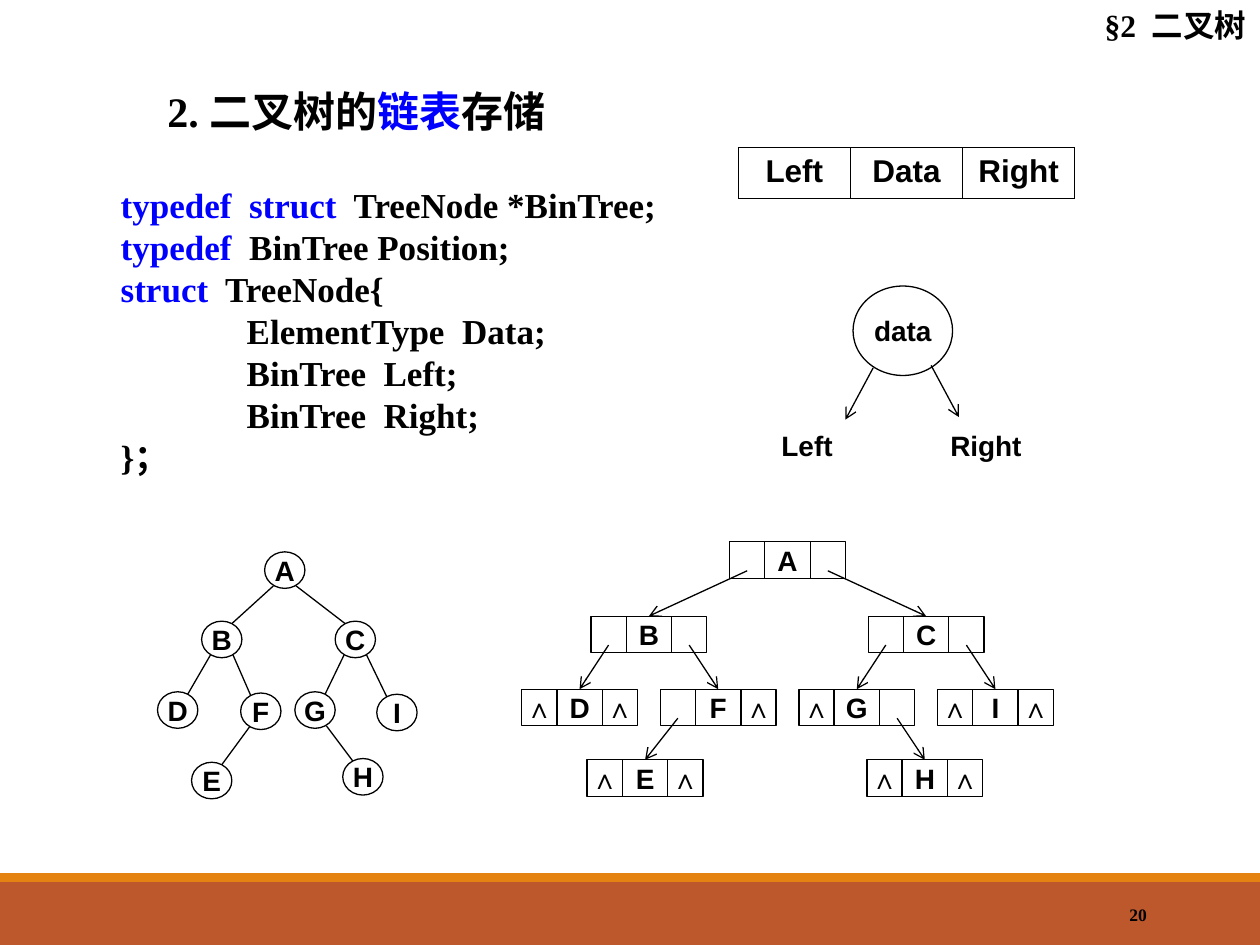
import lxml.etree
import pptx
import pptx.dml.color
import pptx.enum.shapes
import pptx.enum.text
import pptx.oxml.ns
import pptx.util

Inches = pptx.util.Inches
Pt = pptx.util.Pt
Align = pptx.enum.text.PP_ALIGN
Anchor = pptx.enum.text.MSO_ANCHOR
Preset = pptx.enum.shapes.MSO_SHAPE
qn = pptx.oxml.ns.qn
RGB = pptx.dml.color.RGBColor.from_string

COLORS = {"black": "000000", "white": "FFFFFF", "blue": "0000FF",
          "orange": "E48312", "rust": "BD582C"}


def write(frame, lines, size=16, font="Arial", align=Align.CENTER, anchor=Anchor.TOP,
          insets=(0, 0), wrap=True, spacing=None, tabs=()):
    frame.word_wrap = wrap
    frame.vertical_anchor = anchor
    frame.margin_left = frame.margin_right = Inches(insets[0])
    frame.margin_top = frame.margin_bottom = Inches(insets[1])
    for index, spans in enumerate(lines):
        para = frame.paragraphs[0] if index == 0 else frame.add_paragraph()
        para.alignment = align
        para.line_spacing = spacing
        if tabs:
            stops = lxml.etree.SubElement(para._p.get_or_add_pPr(), qn("a:tabLst"))
            for position, kind in tabs:
                lxml.etree.SubElement(stops, qn("a:tab"), pos=str(Inches(position)), algn=kind)
        for text, color in spans:
            span = para.add_run()
            span.text = text
            span.font.size = Pt(size)
            span.font.name = font
            span.font.bold = True
            span.font.color.rgb = RGB(COLORS[color])


def draw_line(x1, y1, x2, y2, arrow=False, target=None):
    line = page.shapes.add_connector(pptx.enum.shapes.MSO_CONNECTOR.STRAIGHT,
                                     Inches(x1), Inches(y1), Inches(x2), Inches(y2))
    line.line.color.rgb = RGB(COLORS["black"])
    line.line.width = Pt(0.75)
    if arrow:
        lxml.etree.SubElement(line.line._get_or_add_ln(), qn("a:tailEnd"), type="arrow")
    lxml.etree.SubElement(line._element.spPr, qn("a:effectLst"))
    if target is not None:
        line.end_connect(target, 0)


deck = pptx.Presentation()
deck.slide_width, deck.slide_height = Inches(10), Inches(7.5)
page = deck.slides.add_slide(deck.slide_layouts[6])

for top, height, color in [(7, 0.5, "rust"), (6.93, 0.07, "orange")]:
    band = page.shapes.add_shape(Preset.RECTANGLE, 0, Inches(top), Inches(10), Inches(height))
    band.shadow.inherit = False
    band.fill.solid()
    band.fill.fore_color.rgb = RGB(COLORS[color])
    band.line.fill.background()

code = [
    [("typedef  struct", "blue"), ("  TreeNode *BinTree;", "black")],
    [("typedef", "blue"), ("  BinTree Position;", "black")],
    [("struct", "blue"), ("  TreeNode{", "black")],
    [("\tElementType  Data;", "black")],
    [("\tBinTree  Left;", "black")],
    [("\tBinTree  Right;", "black")],
    [("}；", "black")],
]
heading = [[("2. 二叉树的", "black"), ("链表", "blue"), ("存储", "black")]]
serif = {"font": "Times New Roman", "insets": (0.1, 0.05)}
texts = [
    (8.12, 7.06, 1.08, 0.4, [[("20", "black")]],
     {**serif, "size": 10, "align": Align.RIGHT, "anchor": Anchor.MIDDLE}),
    (1.23, 0.63, 3.28, 0.5, heading, {**serif, "size": 24, "align": Align.LEFT, "wrap": False}),
    (0.86, 1.41, 5, 2.44, code,
     {**serif, "size": 20, "align": Align.LEFT, "spacing": Pt(24), "tabs": [(1, "l")]}),
    (7.58, 0, 2.41, 0.4, [[("§2  二叉树", "black")]],
     {**serif, "size": 18, "align": Align.RIGHT}),
    (5.86, 3.4, 1.09, 0.34, [[("Left", "black")]], {}),
    (7.17, 3.4, 1.31, 0.34, [[("Right", "black")]], {}),
]
for left, top, width, height, lines, style in texts:
    box = page.shapes.add_textbox(Inches(left), Inches(top), Inches(width), Inches(height))
    write(box.text_frame, lines, **style)

fields = ["Left", "Data", "Right"]
holder = page.shapes.add_table(1, 3, Inches(5.86), Inches(1.17), Inches(2.66), Inches(0.39))
table = holder.table
table.first_row = table.horz_banding = False
table.rows[0].height = Inches(0.39)
for column, field in enumerate(fields):
    table.columns[column].width = Inches(0.89)
    cell = table.cell(0, column)
    write(cell.text_frame, [[(field, "black")]], size=18)
    cell.margin_left = cell.margin_right = Inches(0.07)
    cell.margin_top = cell.margin_bottom = Inches(0.05)
    properties = cell._tc.get_or_add_tcPr()
    for side in ["lnL", "lnR", "lnT", "lnB"]:
        border = lxml.etree.SubElement(properties, qn("a:" + side), w=str(Pt(0.45)))
        fill = lxml.etree.SubElement(border, qn("a:solidFill"))
        lxml.etree.SubElement(fill, qn("a:srgbClr"), val=COLORS["black"])
    cell.fill.solid()
    cell.fill.fore_color.rgb = RGB(COLORS["white"])

NODE_W, NODE_H = 0.32, 0.29
RECORD_W, RECORD_H = 0.92, 0.29
LEFT_SLOT, RIGHT_SLOT = 0.14, 0.78

nodes = {"A": (2.1, 4.38), "B": (1.6, 4.93), "C": (2.66, 4.93), "D": (1.25, 5.49),
         "F": (1.91, 5.5), "G": (2.34, 5.49), "I": (2.99, 5.51), "E": (1.52, 6.05),
         "H": (2.72, 6.02)}
records = {"A": (5.79, 4.3), "B": (4.69, 4.89), "C": (6.89, 4.89), "D": (4.14, 5.47),
           "F": (5.24, 5.47), "G": (6.34, 5.47), "I": (7.44, 5.47), "E": (4.66, 6.03),
           "H": (6.88, 6.03)}
children = {"A": ("B", "C"), "B": ("D", "F"), "C": ("G", "I"), "F": ("E", None),
            "G": (None, "H")}

circles = [(left, top, NODE_W, NODE_H, letter) for letter, (left, top) in nodes.items()]
circles.append((6.77, 2.27, 0.79, 0.71, "data"))
node_style = {"anchor": Anchor.MIDDLE, "wrap": False}
outlines = [(Preset.OVAL, *circle, node_style) for circle in circles]

record_style = {"anchor": Anchor.MIDDLE, "align": Align.LEFT, "insets": (0.02, 0.01),
                "tabs": [(0.12, "ctr"), (0.44, "ctr"), (0.76, "ctr")]}
for letter, (left, top) in records.items():
    marks = ["" if child else "∧" for child in children.get(letter, (None, None))]
    label = f"\t{marks[0]}\t{letter}\t{marks[1]}".rstrip()
    outlines.append((Preset.RECTANGLE, left, top, RECORD_W, RECORD_H, label, record_style))

drawn_records = {}
for preset, left, top, width, height, label, style in outlines:
    shape = page.shapes.add_shape(preset, Inches(left), Inches(top), Inches(width), Inches(height))
    shape.shadow.inherit = False
    shape.fill.solid()
    shape.fill.fore_color.rgb = RGB(COLORS["white"])
    shape.line.color.rgb = RGB(COLORS["black"])
    shape.line.width = Pt(0.75)
    write(shape.text_frame, [[(label, "black")]], **style)
    if preset == Preset.RECTANGLE:
        drawn_records[label.replace("∧", "").strip()] = shape

draw_line(6.93, 2.92, 6.71, 3.33, arrow=True)
draw_line(7.39, 2.9, 7.61, 3.31, arrow=True)

for left, top in records.values():
    for offset in [0.28, 0.64]:
        draw_line(left + offset, top, left + offset, top + RECORD_H)

for parent, pair in children.items():
    for child, side, slot in zip(pair, [-1, 1], [LEFT_SLOT, RIGHT_SLOT]):
        if child is None:
            continue
        left, top = nodes[parent]
        child_left, child_top = nodes[child]
        draw_line(left + NODE_W / 2 + side * 0.09, top + 0.27,
                  child_left + NODE_W / 2 - side * 0.08, child_top + 0.02)
        left, top = records[parent]
        child_left, child_top = records[child]
        draw_line(left + slot, top + 0.23, child_left + RECORD_W / 2, child_top,
                  arrow=True, target=drawn_records[child])

deck.save("out.pptx")
